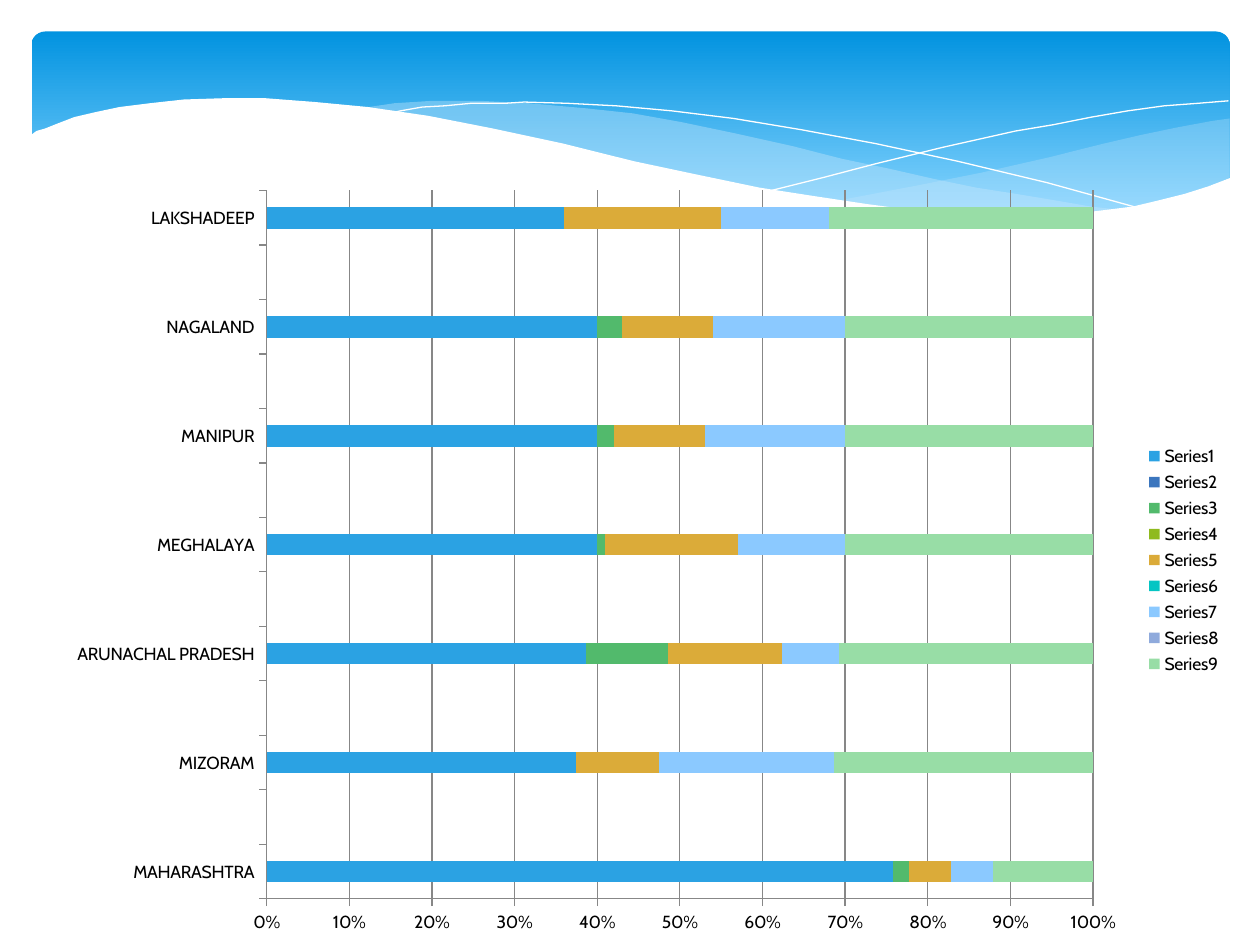
"""Build a slide with a wave banner and a 100% stacked bar chart of regions."""
from lxml.etree import SubElement
from pptx import Presentation
from pptx.chart.data import CategoryChartData as ChartData
from pptx.dml.color import RGBColor
from pptx.enum.chart import XL_CHART_TYPE as ChartType, XL_LEGEND_POSITION as LegendSide
from pptx.enum.chart import XL_TICK_MARK as Tick
from pptx.enum.shapes import MSO_SHAPE as Preset
from pptx.oxml.ns import qn
from pptx.util import Inches, Pt

WHITE = RGBColor(0xFF, 0xFF, 0xFF)
BLACK = RGBColor(0, 0, 0)
GRAY = RGBColor(0x87, 0x87, 0x87)
SKY_TOP = RGBColor(0x02, 0x93, 0xE0)
SKY_BOTTOM = RGBColor(0x83, 0xD3, 0xFE)
MIST = RGBColor(0xC6, 0xE7, 0xFC)
SERIES_COLORS = [RGBColor.from_string(code) for code in (
    "2BA2E3", "3B76BE", "52BA6C", "8FBA1E", "DBAB39", "05C5C3", "8BC9FF", "8FAADC", "98DDA6")]

deck = Presentation()
deck.slide_width, deck.slide_height = Inches(10), Inches(7.5)
page = deck.slides.add_slide(deck.slide_layouts[6])
unit = deck.slide_width // 1000

banner = page.shapes.add_shape(
    Preset.ROUNDED_RECTANGLE, 25 * unit, 25 * unit, 951 * unit, 156 * unit)
banner.adjustments[0] = 0.07
banner.shadow.inherit = False
banner.line.fill.background()
banner.fill.gradient()
banner.fill.gradient_angle = 270
for stop, color, position in zip(banner.fill.gradient_stops, (SKY_TOP, SKY_BOTTOM), (0, 0.9)):
    stop.color.rgb, stop.position = color, position

right_swell = [
    (976, 94), (962, 96), (935, 101), (906, 107), (876, 114), (832, 125), (779, 137),
    (729, 147), (661, 160), (691, 164), (719, 167), (745, 169), (769, 171), (792, 172),
    (824, 172), (854, 170), (881, 167), (905, 163), (928, 158), (949, 152), (976, 141)]
middle_swell = [
    (893, 167), (866, 164), (837, 159), (807, 154), (775, 149), (741, 142), (706, 134),
    (668, 126), (629, 116), (584, 106), (541, 97), (502, 90), (465, 86), (420, 82),
    (380, 80), (344, 80), (313, 82), (286, 86), (323, 90), (362, 97), (404, 106),
    (449, 116), (530, 135), (584, 146), (634, 156), (680, 163), (722, 168), (761, 171),
    (796, 173), (828, 173), (857, 171), (893, 167)]
falling_line = [
    (309, 90), (318, 88), (335, 85), (353, 84), (374, 82), (401, 82), (416, 81), (450, 82),
    (489, 84), (533, 88), (582, 94), (636, 103), (695, 114), (760, 128), (831, 145), (907, 166)]
rising_line = [
    (613, 151), (653, 141), (695, 130), (748, 117), (806, 104), (836, 99), (866, 93),
    (895, 88), (924, 84), (951, 82), (975, 80)]
white_wave = [
    (977, 141), (959, 148), (940, 154), (920, 159), (899, 164), (875, 167), (850, 170),
    (823, 171), (793, 171), (761, 170), (726, 167), (688, 162), (648, 156), (603, 149),
    (555, 139), (503, 128), (447, 114), (391, 102), (340, 92), (292, 85), (250, 81),
    (211, 78), (177, 78), (146, 79), (119, 82), (95, 85), (76, 89), (59, 93), (46, 98),
    (36, 102), (29, 104), (25, 107), (23, 107), (23, 224), (977, 224)]

for points, fill_color, opacity in (
        (right_swell, MIST, 29), (middle_swell, MIST, 40),
        (falling_line, None, 100), (rising_line, None, 100), (white_wave, WHITE, 100)):
    builder = page.shapes.build_freeform(*points[0], scale=unit)
    builder.add_line_segments(points[1:], close=fill_color is not None)
    wave = builder.convert_to_shape()
    wave.shadow.inherit = False
    if fill_color is None:
        wave.fill.background()
        wave.line.color.rgb = WHITE
        wave.line.width = Pt(0)
    else:
        wave.line.fill.background()
        wave.fill.solid()
        wave.fill.fore_color.rgb = fill_color
        if opacity < 100:
            tint = wave.element.spPr.find(qn("a:solidFill"))[0]
            SubElement(tint, qn("a:alpha"), val=str(opacity * 1000))

regions = ["MAHARASHTRA", "MIZORAM", "ARUNACHAL PRADESH", "MEGHALAYA", "MANIPUR",
           "NAGALAND", "LAKSHADEEP"]
shares = {
    1: [75, 37, 39, 40, 40, 40, 36],
    3: [2, 0, 10, 1, 2, 3, 0],
    5: [5, 10, 14, 16, 11, 11, 19],
    7: [5, 21, 7, 13, 17, 16, 13],
    9: [12, 31, 31, 30, 30, 30, 32]}
slots = 2 * len(regions) - 1
data = ChartData()
data.categories = ["" if slot % 2 else regions[slot // 2] for slot in range(slots)]
for number in range(1, 10):
    values = [None] * slots
    if number in shares:
        values[::2] = shares[number]
    data.add_series(f"Series{number}", values)

chart = page.shapes.add_chart(
    ChartType.BAR_STACKED_100, 43 * unit, 139 * unit, 937 * unit, 611 * unit, data).chart
chart.has_title = False
chart.has_legend = True
chart.legend.position = LegendSide.RIGHT
chart.legend.include_in_layout = False
chart.font.name, chart.font.size, chart.font.color.rgb = "Cabin", Pt(10), BLACK

bars = chart.plots[0]
for name, value in {"gap_width": 150, "overlap": 100, "vary_by_categories": False}.items():
    setattr(bars, name, value)
for series, color in zip(bars.series, SERIES_COLORS):
    series.format.fill.solid()
    series.format.fill.fore_color.rgb = color
    series.invert_if_negative = False

axis_format = {"major_tick_mark": Tick.OUTSIDE, "minor_tick_mark": Tick.NONE}
for axis in (chart.category_axis, chart.value_axis):
    for name, value in axis_format.items():
        setattr(axis, name, value)
    axis.format.line.color.rgb = GRAY
    axis.format.line.width = Pt(0.75)
chart.value_axis.has_major_gridlines = True
grid_line = chart.value_axis.major_gridlines.format.line
grid_line.color.rgb, grid_line.width = GRAY, Pt(0.75)
chart.value_axis.tick_labels.number_format = "0%"
chart.value_axis.tick_labels.number_format_is_linked = False

area = chart.element.find(".//" + qn("c:plotArea"))
for old_layout in area.findall(qn("c:layout")):
    area.remove(old_layout)
layout = SubElement(area, qn("c:layout"))
area.insert(0, layout)
manual = SubElement(layout, qn("c:manualLayout"))
for tag, value in {"layoutTarget": "inner", "xMode": "edge", "yMode": "edge",
                   "x": 0.18, "y": 0.02, "w": 0.7, "h": 0.92}.items():
    SubElement(manual, qn(f"c:{tag}"), val=str(value))

deck.save("out.pptx")
